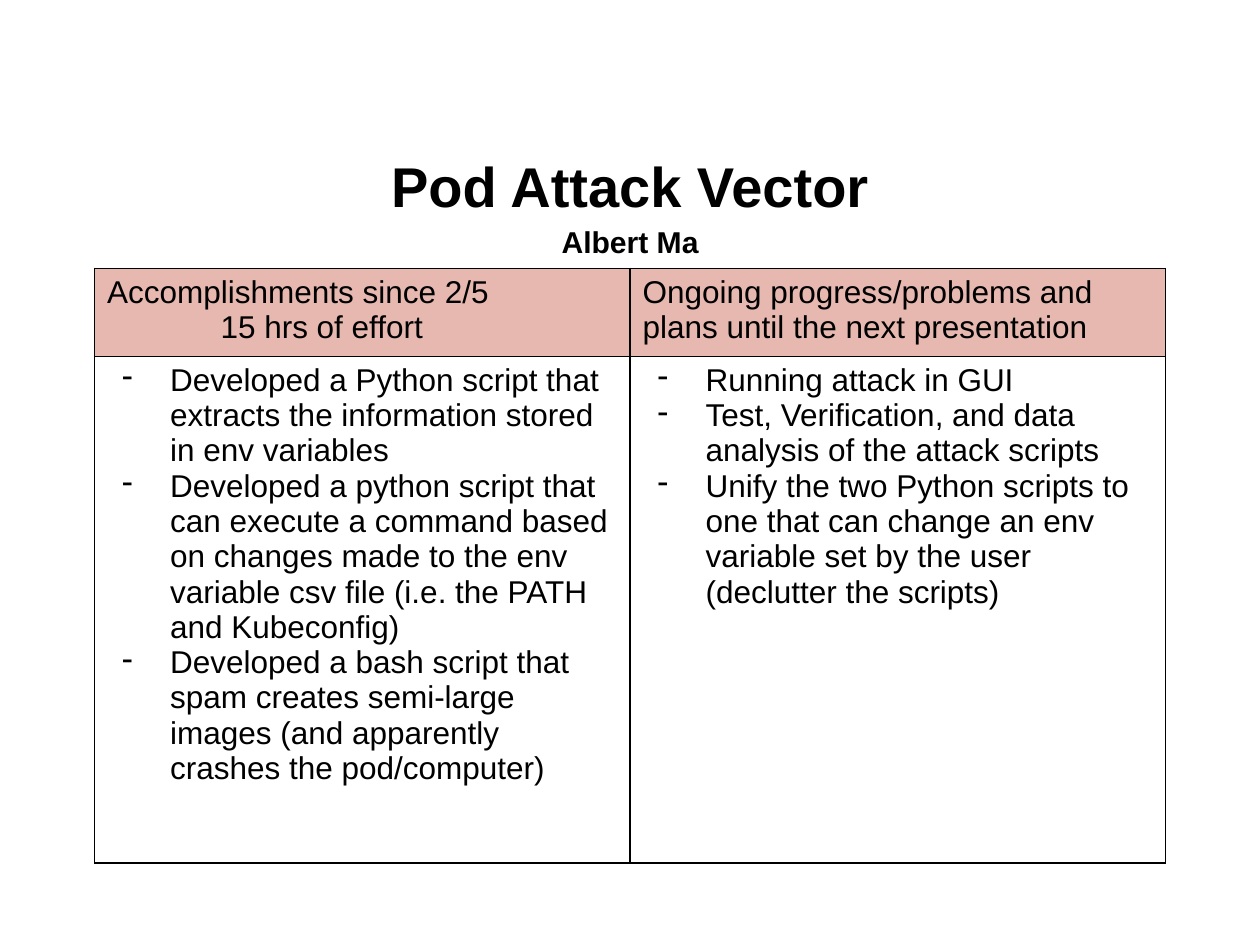
"""Build the Pod Attack Vector progress slide."""
from dataclasses import dataclass

from lxml import etree
from pptx import Presentation, util as u
from pptx.dml.color import RGBColor
from pptx.enum import text
from pptx.oxml.ns import qn


@dataclass(frozen=True)
class Theme:
    """Hold the colours, font and type sizes."""
    font: str = "Arial"
    ink: str = "000000"
    header: str = "E6B8AF"
    title: float = 32
    subtitle: float = 17.2
    body: float = 18
    border: float = 1


@dataclass(frozen=True)
class Line:
    """Describe a paragraph with its left margin and hanging bullet."""
    words: str
    margin: float = 0
    hang: float = 0
    bullet: str = ""


@dataclass(frozen=True)
class Column:
    """Describe a table column by its header lines and bullet items."""
    header: list[Line]
    items: list[str]


THEME = Theme()
COLUMN_WIDTH = 4.25
ROW_HEIGHTS = (0.7, 4.02)
COLUMNS = [
    Column(
        [Line("Accomplishments since 2/5"), Line("15 hrs of effort", margin=0.9)],
        [
            "Developed a Python script that extracts the information stored in env variables",
            "Developed a python script that can execute a command based on changes made "
            "to the env variable csv file (i.e. the PATH and Kubeconfig)",
            "Developed a bash script that spam creates semi-large images "
            "(and apparently crashes the pod/computer)",
        ],
    ),
    Column(
        [Line("Ongoing progress/problems and plans until the next presentation")],
        [
            "Running attack in GUI",
            "Test, Verification, and data analysis of the attack scripts",
            "Unify the two Python scripts to one that can change an env variable "
            "set by the user (declutter the scripts)",
        ],
    ),
]


def add_paragraph(tf, index: int, words: str, size: float, bold: bool = False):
    """Write one styled paragraph into a text frame."""
    p = tf.paragraphs[0] if index == 0 else tf.add_paragraph()
    p.text = words
    p.font.name, p.font.size, p.font.bold = THEME.font, u.Pt(size), bold
    p.font.color.rgb = RGBColor.from_string(THEME.ink)
    return p


def draw_title(s, lines: list[tuple[str, float]]) -> None:
    """Place the title and write its lines."""
    sp = s.shapes.title
    sp.left, sp.top = u.Inches(0.5), u.Inches(1.15)
    sp.width, sp.height = u.Inches(9), u.Inches(0.88)
    tf = sp.text_frame
    tf.auto_size = text.MSO_AUTO_SIZE.NONE
    tf.vertical_anchor = text.MSO_ANCHOR.MIDDLE
    for i, (words, size) in enumerate(lines):
        p = add_paragraph(tf, i, words, size, bold=True)
        p.alignment = text.PP_ALIGN.CENTER
        p.line_spacing = 1.15


def set_borders(cell) -> None:
    """Outline all four sides of a cell."""
    tc_pr = cell._tc.get_or_add_tcPr()
    for side in ("a:lnL", "a:lnR", "a:lnT", "a:lnB"):
        ln = etree.SubElement(tc_pr, qn(side), w=str(u.Pt(THEME.border)))
        fill = etree.SubElement(ln, qn("a:solidFill"))
        etree.SubElement(fill, qn("a:srgbClr"), val=THEME.ink)


def fill_cell(cell, lines: list[Line], colour: str = "") -> None:
    """Format a cell and write its lines."""
    set_borders(cell)
    if colour:
        cell.fill.solid()
        cell.fill.fore_color.rgb = RGBColor.from_string(colour)
    else:
        cell.fill.background()
    for i, line in enumerate(lines):
        p = add_paragraph(cell.text_frame, i, line.words, THEME.body)
        p_pr = p._p.get_or_add_pPr()
        p_pr.set("marL", str(u.Inches(line.margin)))
        p_pr.set("indent", str(-u.Inches(line.hang)))
        if line.bullet:
            bullet = etree.Element(qn("a:buChar"), char=line.bullet)
            p_pr.insert_element_before(bullet, "a:tabLst", "a:defRPr", "a:extLst")


def draw_table(s, columns: list[Column]) -> None:
    """Draw the header row and the bullet row for all columns."""
    table = s.shapes.add_table(
        len(ROW_HEIGHTS), len(columns), u.Inches(0.75), u.Inches(2.13),
        u.Inches(COLUMN_WIDTH * len(columns)), u.Inches(sum(ROW_HEIGHTS)),
    ).table
    table.horz_banding = False
    table.first_row = False
    for row, height in zip(table.rows, ROW_HEIGHTS):
        row.height = u.Inches(height)
    for i, column in enumerate(columns):
        table.columns[i].width = u.Inches(COLUMN_WIDTH)
        fill_cell(table.cell(0, i), column.header, THEME.header)
        items = [Line(item, 0.5, 0.38, "-") for item in column.items]
        fill_cell(table.cell(1, i), items)


def main() -> None:
    """Build and save the presentation."""
    prs = Presentation()
    prs.slide_width, prs.slide_height = u.Inches(10), u.Inches(7.5)
    s = prs.slides.add_slide(prs.slide_layouts[5])
    draw_title(s, [("Pod Attack Vector", THEME.title), ("Albert Ma", THEME.subtitle)])
    draw_table(s, COLUMNS)
    prs.save("out.pptx")


if __name__ == "__main__":
    main()
